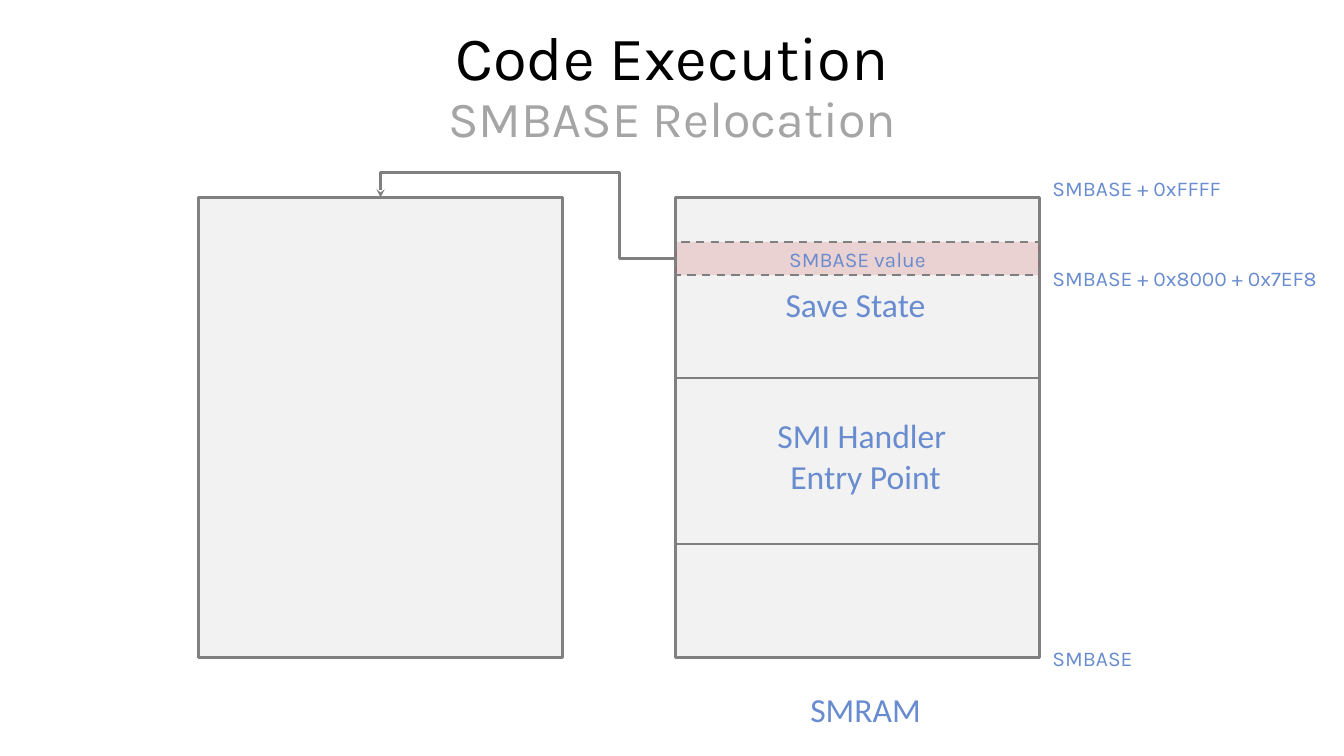
from lxml.etree import SubElement
from pptx import Presentation
from pptx.dml.color import RGBColor
from pptx.enum.dml import MSO_LINE
from pptx.enum.shapes import MSO_CONNECTOR, MSO_SHAPE
from pptx.enum.text import MSO_ANCHOR, MSO_AUTO_SIZE, PP_ALIGN
from pptx.oxml.ns import qn
from pptx.util import Inches, Pt

BLACK = RGBColor(0x00, 0x00, 0x00)
SUBTITLE_GRAY = RGBColor(0xA5, 0xA5, 0xA5)
LINE_GRAY = RGBColor(0x80, 0x80, 0x80)
DIVIDER_GRAY = RGBColor(0x7F, 0x7F, 0x7F)
MEMORY_FILL = RGBColor(0xF2, 0xF2, 0xF2)
BAND_RED = RGBColor(0xC0, 0x00, 0x00)
LABEL_BLUE = RGBColor(0x68, 0x8C, 0xCF)

BLOCK_TOP, BLOCK_WIDTH, BLOCK_HEIGHT = 1.96, 3.61, 4.56
RELOCATED_LEFT, SMRAM_LEFT = 1.97, 6.7


def style_text(frame, text, size, font, align, spacing=1.07):
    frame.text = text
    frame.word_wrap = True
    for para in frame.paragraphs:
        para.alignment = align
        para.line_spacing = spacing
        for span in para.runs:
            span.font.size = Pt(size)
            span.font.name = font
            span.font.color.rgb = LABEL_BLUE


def add_label(page, text, left, top, width, height, size=24, font="Calibri",
              align=PP_ALIGN.CENTER, spacing=1.07):
    box = page.shapes.add_textbox(Inches(left), Inches(top), Inches(width), Inches(height))
    style_text(box.text_frame, text, size, font, align, spacing)


def add_rectangle(page, left, top, width, height, fill, line, weight):
    box = page.shapes.add_shape(MSO_SHAPE.RECTANGLE, Inches(left), Inches(top),
                                Inches(width), Inches(height))
    box.shadow.inherit = False
    box.fill.solid()
    box.fill.fore_color.rgb = fill
    box.line.color.rgb = line
    box.line.width = Pt(weight)
    return box


def add_line(page, kind, start, end, color, weight):
    line = page.shapes.add_connector(kind, *(Inches(value) for value in start + end))
    line.line.color.rgb = color
    line.line.width = Pt(weight)
    SubElement(line.element.spPr, qn("a:effectLst"))
    return line


def add_title(page, left, top, width, height):
    title = page.shapes.title
    title.left, title.top = Inches(left), Inches(top)
    title.width, title.height = Inches(width), Inches(height)
    frame = title.text_frame
    frame.text = "Code Execution\vSMBASE Relocation"
    frame.auto_size = MSO_AUTO_SIZE.NONE
    frame.vertical_anchor = MSO_ANCHOR.MIDDLE
    para = frame.paragraphs[0]
    para.alignment = PP_ALIGN.CENTER
    para.line_spacing = 0.9
    for span, size, color in zip(para.runs, (44, 36), (BLACK, SUBTITLE_GRAY)):
        span.font.size = Pt(size)
        span.font.name = "Karla"
        span.font.color.rgb = color


def add_memory_block(page, left, top, width, height):
    return add_rectangle(page, left, top, width, height, MEMORY_FILL, LINE_GRAY, 2)


def add_smram(page, left, top, width, height):
    """Draw the SMRAM map and return its SMBASE value band."""
    add_memory_block(page, left, top, width, height)

    # Highlighted SMBASE value
    band = add_rectangle(page, left, top + 0.44, width, 0.33, BAND_RED, DIVIDER_GRAY, 1.5)
    color = band.fill._xPr.find(qn("a:solidFill"))[0]
    SubElement(color, qn("a:alpha")).set("val", "13000")
    band.line.dash_style = MSO_LINE.DASH
    style_text(band.text_frame, "SMBASE value", 15, "Karla", PP_ALIGN.CENTER)
    band.text_frame.vertical_anchor = MSO_ANCHOR.MIDDLE

    # Region dividers
    for offset in (1.79, 3.44):
        add_line(page, MSO_CONNECTOR.STRAIGHT, (left, top + offset),
                 (left + width, top + offset), DIVIDER_GRAY, 1.5)

    # Region names
    add_label(page, "Save State", left + 0.32, top + 0.78, 2.93, 0.51)
    add_label(page, "SMI Handler \nEntry Point", left + 0.47, top + 2.11, 2.83, 0.91, spacing=1)
    add_label(page, "SMRAM", left + 1.23, top + height + 0.24, 1.31, 0.51)

    # Addresses beside the map
    for text, offset in (("SMBASE + 0xFFFF", -0.28),
                         ("SMBASE + 0x8000 + 0x7EF8", 0.61),
                         ("SMBASE", 4.38)):
        add_label(page, text, left + width + 0.03, top + offset, 2.99, 0.36,
                  15, "Karla", PP_ALIGN.LEFT)
    return band


def add_relocation_arrow(page, band, target):
    arrow = add_line(page, MSO_CONNECTOR.ELBOW, (6.7, 2.57), (3.78, 1.96), LINE_GRAY, 2)
    arrow.begin_connect(band, 1)
    arrow.end_connect(target, 0)
    # Route over the top of the target block
    geometry = arrow.element.spPr.find(qn("a:prstGeom"))
    geometry.set("prst", "bentConnector4")
    guides = geometry.find(qn("a:avLst"))
    for name, value in (("adj1", 19100), ("adj2", 141100)):
        guide = SubElement(guides, qn("a:gd"))
        guide.set("name", name)
        guide.set("fmla", f"val {value}")
    SubElement(arrow.line._get_or_add_ln(), qn("a:tailEnd")).set("type", "stealth")


def main():
    deck = Presentation()
    deck.slide_width, deck.slide_height = Inches(13.33), Inches(7.5)
    page = deck.slides.add_slide(deck.slide_layouts[5])
    add_title(page, 0.92, 0.4, 11.5, 0.94)
    band = add_smram(page, SMRAM_LEFT, BLOCK_TOP, BLOCK_WIDTH, BLOCK_HEIGHT)
    relocated = add_memory_block(page, RELOCATED_LEFT, BLOCK_TOP, BLOCK_WIDTH, BLOCK_HEIGHT)
    add_relocation_arrow(page, band, relocated)
    deck.save("out.pptx")


if __name__ == "__main__":
    main()
